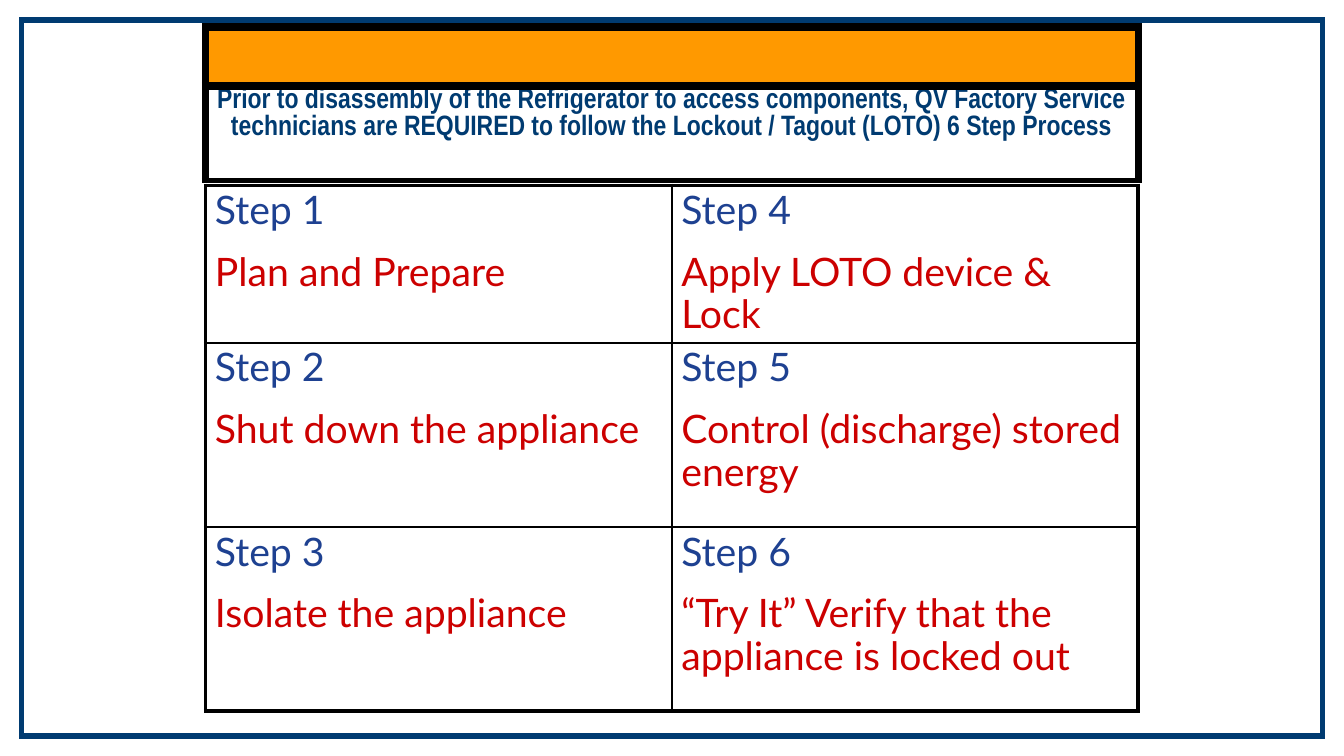
"""Build a slide that lists the six steps of the lockout / tagout process."""
from dataclasses import dataclass

from lxml import etree
from pptx import Presentation
from pptx.dml.color import RGBColor
from pptx.enum.shapes import MSO_SHAPE
from pptx.enum.text import PP_ALIGN
from pptx.oxml.ns import qn
from pptx.slide import Slide
from pptx.table import Table, _Cell
from pptx.util import Inches, Pt

RECTANGLE = MSO_SHAPE.RECTANGLE
CENTER, LEFT = PP_ALIGN.CENTER, PP_ALIGN.LEFT

NAVY = RGBColor(0x00, 0x3B, 0x71)
BLUE = RGBColor(0x1E, 0x41, 0x91)
RED = RGBColor(0xCC, 0x00, 0x00)
ORANGE = RGBColor(0xFF, 0x99, 0x00)
WHITE = RGBColor(0xFF, 0xFF, 0xFF)
BLACK = RGBColor(0x00, 0x00, 0x00)

SLIDE_WIDTH = Inches(10)
SLIDE_HEIGHT = SLIDE_WIDTH * 9 // 16
TABLE_LEFT, TABLE_WIDTH = Inches(1.53), Inches(6.94)


@dataclass(frozen=True)
class TextStyle:
    font: str
    size: float
    color: RGBColor
    bold: bool = False
    align: PP_ALIGN = LEFT
    line_spacing: float = 1.0
    space_before: float = 0


@dataclass(frozen=True)
class Grid:
    top: float
    row_heights: tuple[float, ...]
    columns: int
    outer_line: float
    inner_line: float
    bottom_line: float


HEADING = TextStyle("Arial Narrow", 15, NAVY, bold=True, align=CENTER)
STEP_LABEL = TextStyle("Lato", 21, BLUE, line_spacing=0.9)
STEP_ACTION = TextStyle("Lato", 21, RED, line_spacing=0.9, space_before=10.5)

HEADER_GRID = Grid(0.2, (0.44, 0.7), 1, 4.5, 4.5, 3)
STEP_GRID = Grid(1.38, (1.16, 1.37, 1.37), 2, 2.25, 1, 2.25)

HEADER_TEXT = (
    "Prior to disassembly of the Refrigerator to access components, QV Factory Service "
    "technicians are REQUIRED to follow the Lockout / Tagout (LOTO) 6 Step Process"
)
STEPS = (
    "Plan and Prepare",
    "Shut down the appliance",
    "Isolate the appliance",
    "Apply LOTO device & Lock",
    "Control (discharge) stored energy",
    "“Try It” Verify that the appliance is locked out",
)


def set_border(cell: _Cell, side: str, width: float) -> None:
    properties = cell._tc.get_or_add_tcPr()
    line = etree.SubElement(properties, qn(f"a:ln{side}"), w=str(Pt(width)))
    fill = etree.SubElement(line, qn("a:solidFill"))
    etree.SubElement(fill, qn("a:srgbClr"), val=str(BLACK))


def add_grid(slide: Slide, grid: Grid) -> Table:
    rows, columns = len(grid.row_heights), grid.columns
    frame = slide.shapes.add_table(
        rows, columns, TABLE_LEFT, Inches(grid.top), TABLE_WIDTH, Inches(sum(grid.row_heights))
    )
    table = frame.table
    table.first_row = table.horz_banding = False
    for column in table.columns:
        column.width = TABLE_WIDTH // columns
    for row_index, height in enumerate(grid.row_heights):
        table.rows[row_index].height = Inches(height)
        for column_index in range(columns):
            cell = table.cell(row_index, column_index)
            set_border(cell, "L", grid.inner_line if column_index else grid.outer_line)
            set_border(cell, "R", grid.inner_line if column_index < columns - 1 else grid.outer_line)
            set_border(cell, "T", grid.inner_line if row_index else grid.outer_line)
            set_border(cell, "B", grid.inner_line if row_index < rows - 1 else grid.bottom_line)
            cell.fill.solid()
            cell.fill.fore_color.rgb = WHITE
    return table


def write_cell(cell: _Cell, lines: list[tuple[str, TextStyle]], side: float, top: float, bottom: float) -> None:
    cell.margin_left = cell.margin_right = Inches(side)
    cell.margin_top, cell.margin_bottom = Inches(top), Inches(bottom)
    text_frame = cell.text_frame
    for index, (text, style) in enumerate(lines):
        paragraph = text_frame.add_paragraph() if index else text_frame.paragraphs[0]
        paragraph.alignment = style.align
        paragraph.line_spacing = style.line_spacing
        paragraph.space_before = Pt(style.space_before)
        run = paragraph.add_run()
        run.text = text
        run.font.name = style.font
        run.font.size = Pt(style.size)
        run.font.bold = style.bold
        run.font.color.rgb = style.color


def add_frame(slide: Slide) -> None:
    margin_x, margin_y = Inches(0.16), Inches(0.15)
    shape = slide.shapes.add_shape(
        RECTANGLE, margin_x, margin_y, SLIDE_WIDTH - 2 * margin_x, SLIDE_HEIGHT - 2 * margin_y
    )
    shape.shadow.inherit = False
    shape.fill.background()
    shape.line.color.rgb = NAVY
    shape.line.width = Pt(3)
    outline = shape._element.spPr.find(qn("a:ln"))
    etree.SubElement(outline, qn("a:miter"), lim="800000")


def add_steps(slide: Slide) -> None:
    table = add_grid(slide, STEP_GRID)
    for index, action in enumerate(STEPS):
        column, row = divmod(index, len(STEP_GRID.row_heights))
        lines = [(f"Step {index + 1}", STEP_LABEL), (action, STEP_ACTION)]
        write_cell(table.cell(row, column), lines, side=0.07, top=0.04, bottom=0.04)


def add_header(slide: Slide) -> None:
    table = add_grid(slide, HEADER_GRID)
    table.cell(0, 0).fill.fore_color.rgb = ORANGE
    write_cell(table.cell(1, 0), [(HEADER_TEXT, HEADING)], side=0.06, top=0.02, bottom=0)


def main() -> None:
    presentation = Presentation()
    presentation.slide_width, presentation.slide_height = SLIDE_WIDTH, SLIDE_HEIGHT
    slide = presentation.slides.add_slide(presentation.slide_layouts[6])
    add_frame(slide)
    add_steps(slide)
    add_header(slide)
    presentation.save("out.pptx")


if __name__ == "__main__":
    main()
